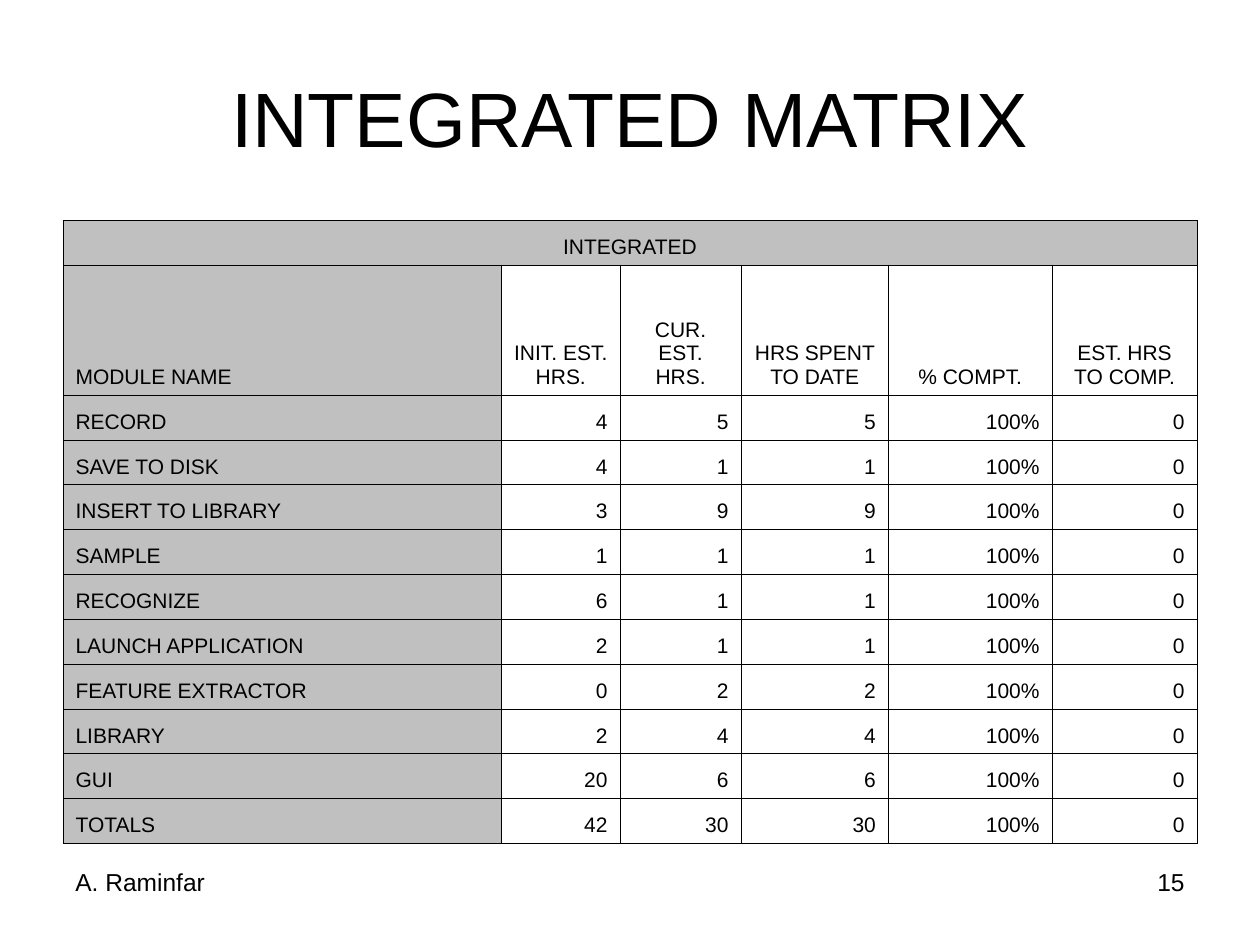
"""Build the integrated matrix slide."""
from dataclasses import dataclass
from typing import NamedTuple

from lxml import etree
from pptx import Presentation
from pptx import util as u
from pptx.dml.color import RGBColor
from pptx.enum import text as t
from pptx.oxml import ns


@dataclass(frozen=True)
class Theme:
    font: str = "Arial"
    ink: str = "000000"
    shade: str = "C0C0C0"
    title_size: int = 44
    table_size: int = 12
    footer_size: int = 14
    border: float = 0.45


class Box(NamedTuple):
    left: float
    top: float
    width: float
    height: float


class Module(NamedTuple):
    name: str
    initial: int
    current: int
    spent: int
    complete: str = "100%"
    remaining: int = 0


THEME = Theme()
ALIGN = t.PP_ALIGN
ANCHOR = t.MSO_ANCHOR

TITLE_BOX = Box(1.27, 0.76, 22.86, 3.18)
TABLE_BOX = Box(1.27, 4.44, 22.86, 12.57)
AUTHOR_BOX = Box(1.27, 17.35, 5.92, 1.32)
NUMBER_BOX = AUTHOR_BOX._replace(left=18.21)

COLUMN_WIDTHS = (8.84, 2.39, 2.44, 2.97, 3.3, 2.92)
HEADER_HEIGHT = 2.62
HEADERS = ("MODULE NAME", "INIT. EST. HRS.", "CUR. EST. HRS.",
           "HRS SPENT TO DATE", "% COMPT.", "EST. HRS TO COMP.")
MODULES = (
    Module("RECORD", 4, 5, 5),
    Module("SAVE TO DISK", 4, 1, 1),
    Module("INSERT TO LIBRARY", 3, 9, 9),
    Module("SAMPLE", 1, 1, 1),
    Module("RECOGNIZE", 6, 1, 1),
    Module("LAUNCH APPLICATION", 2, 1, 1),
    Module("FEATURE EXTRACTOR", 0, 2, 2),
    Module("LIBRARY", 2, 4, 4),
    Module("GUI", 20, 6, 6),
    Module("TOTALS", 42, 30, 30),
)


def write(frame, content: str, *, size: int, align=ALIGN.LEFT) -> None:
    paragraph = frame.paragraphs[0]
    paragraph.alignment = align
    run = paragraph.add_run()
    run.text = content
    run.font.name = THEME.font
    run.font.size = u.Pt(size)
    run.font.color.rgb = RGBColor.from_string(THEME.ink)


def add_text(slide, box: Box, content: str, *, size: int,
             align=ALIGN.LEFT, anchor=ANCHOR.TOP) -> None:
    frame = slide.shapes.add_textbox(*map(u.Cm, box)).text_frame
    frame.word_wrap = True
    frame.vertical_anchor = anchor
    write(frame, content, size=size, align=align)


def add_borders(cell) -> None:
    properties = cell._tc.get_or_add_tcPr()
    for side in ("a:lnL", "a:lnR", "a:lnT", "a:lnB"):
        line = etree.SubElement(properties, ns.qn(side), w=str(u.Pt(THEME.border)))
        fill = etree.SubElement(line, ns.qn("a:solidFill"))
        etree.SubElement(fill, ns.qn("a:srgbClr"), val=THEME.ink)


def style_cell(cell, *, shaded: bool) -> None:
    cell.vertical_anchor = ANCHOR.BOTTOM
    add_borders(cell)
    if shaded:
        cell.fill.solid()
        cell.fill.fore_color.rgb = RGBColor.from_string(THEME.shade)
    else:
        cell.fill.background()


def add_matrix(slide) -> None:
    body = (HEADERS, *MODULES)
    table = slide.shapes.add_table(len(body) + 1, len(HEADERS),
                                   *map(u.Cm, TABLE_BOX)).table
    table.first_row = table.horz_banding = False
    for column, width in zip(table.columns, COLUMN_WIDTHS):
        column.width = u.Cm(width)
    row_height = (TABLE_BOX.height - HEADER_HEIGHT) / len(body)
    for index, row in enumerate(table.rows):
        row.height = u.Cm(HEADER_HEIGHT if index == 1 else row_height)
        for column, cell in enumerate(row.cells):
            style_cell(cell, shaded=index == 0 or column == 0)

    banner = table.cell(0, 0)
    banner.merge(table.cell(0, len(HEADERS) - 1))
    write(banner.text_frame, "INTEGRATED", size=THEME.table_size, align=ALIGN.CENTER)
    for index, values in enumerate(body, start=1):
        value_align = ALIGN.CENTER if index == 1 else ALIGN.RIGHT
        for column, value in enumerate(values):
            write(table.cell(index, column).text_frame, str(value),
                  size=THEME.table_size,
                  align=value_align if column else ALIGN.LEFT)


def main() -> None:
    presentation = Presentation()
    presentation.slide_width = u.Cm(25.4)
    presentation.slide_height = u.Cm(19.05)
    slide = presentation.slides.add_slide(presentation.slide_layouts[6])
    add_text(slide, TITLE_BOX, "INTEGRATED MATRIX", size=THEME.title_size,
             align=ALIGN.CENTER, anchor=ANCHOR.MIDDLE)
    add_matrix(slide)
    add_text(slide, NUMBER_BOX, "15", size=THEME.footer_size, align=ALIGN.RIGHT)
    add_text(slide, AUTHOR_BOX, "A. Raminfar", size=THEME.footer_size)
    presentation.save("out.pptx")


if __name__ == "__main__":
    main()
